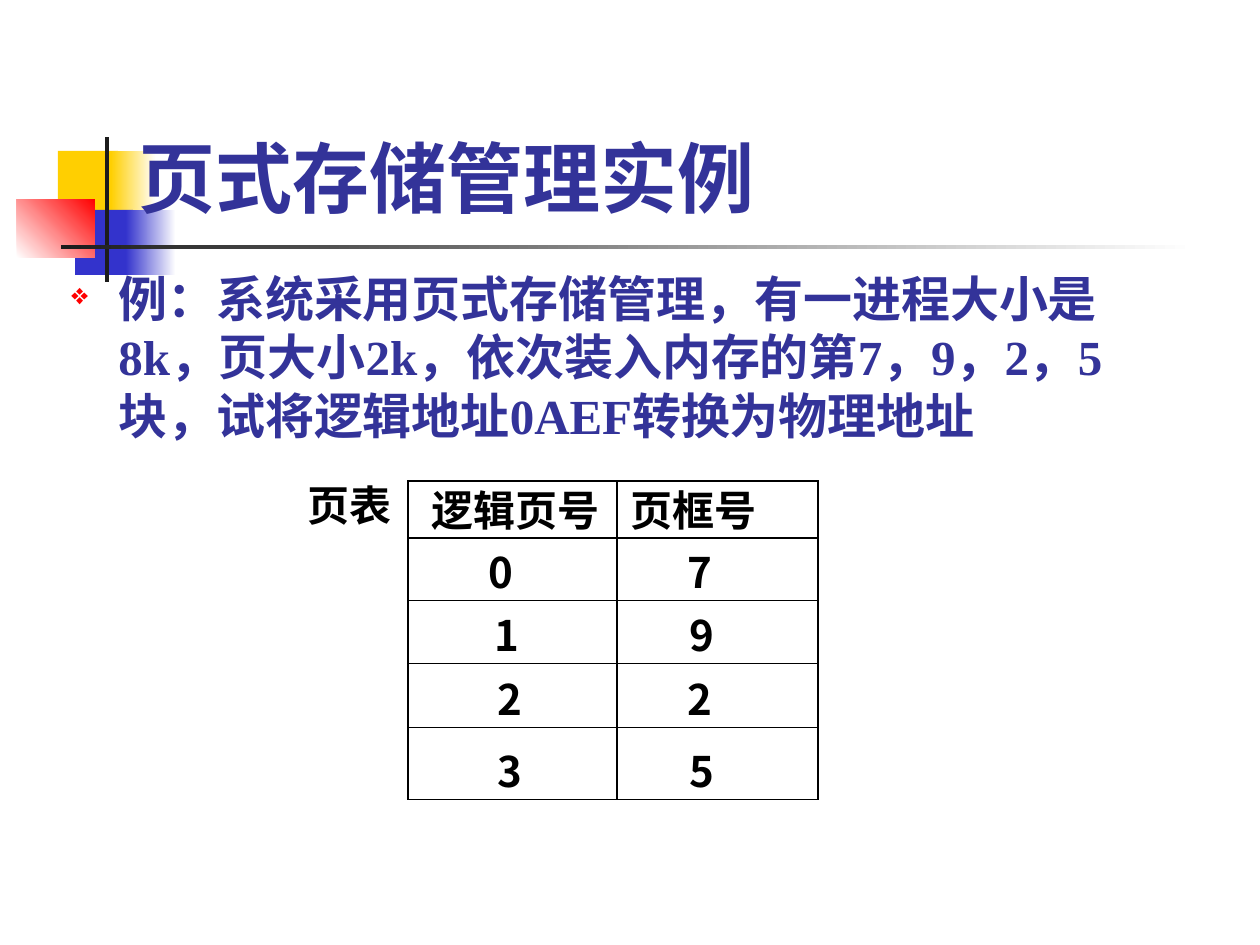
from lxml import etree
from pptx import Presentation, util as u
from pptx.dml.color import RGBColor
from pptx.enum import shapes, text
from pptx.oxml.ns import qn

PX = 914400 // 126
SANS, SERIF, TITLE_FONT = "Noto Sans CJK SC", "Times New Roman", "Roboto"
BLACK, NAVY, WHITE = "000000", "333399", "FFFFFF"

TITLE = "页式存储管理实例"
EXAMPLE = "例：系统采用页式存储管理，有一进程大小是8k，页大小2k，依次装入内存的第7，9，2，5块，试将逻辑地址0AEF转换为物理地址"
TABLE_LABEL = "页表"

# Ornament: left, top, width, height, colours (two make a gradient), angle
ORNAMENT = [
    (58, 151, 60, 66, ["FFCF01"], 0),
    (111, 151, 45, 66, ["FFCF01", WHITE], 0),
    (75, 210, 58, 65, ["3333CC"], 0),
    (126, 210, 50, 65, ["3333CC", WHITE], 0),
    (17, 199, 78, 59, [WHITE, "FF0000"], 45),
    (105, 137, 4, 145, ["1C1C1C"], 0),
    (61, 245, 1134, 4, ["1C1C1C", WHITE], 0),
]

# Page table: row height, top margin, then text and left margin of each cell
TABLE_LEFT, TABLE_TOP = 408, 481
COLUMN_WIDTHS = [209, 201]
ROWS = [
    (57, 2, [("逻辑页号", 24), ("页框号", 14)]),
    (63, 2, [("0", 81), ("7", 71)]),
    (63, 2, [("1", 87), ("9", 73)]),
    (64, 3, [("2", 89), ("2", 71)]),
    (72, 11, [("3", 89), ("5", 73)]),
]


def px(*lengths):
    return [u.Emu(length * PX) for length in lengths]


def color(value):
    return RGBColor.from_string(value)


def add_span(para, words, size, font, tint):
    span = para.add_run()
    span.text = words
    span.font.size = u.Pt(size)
    span.font.name = font
    span.font.bold = True
    span.font.color.rgb = color(tint)


def add_box(page, place, bottom=6):
    box = page.shapes.add_textbox(*px(*place))
    frame = box.text_frame
    frame.word_wrap = True
    frame.margin_bottom = u.Emu(bottom * PX)
    return frame


def add_bullet(para, mark, tint, percent, indent):
    props = para._p.get_or_add_pPr()
    props.set("marL", str(indent * PX))
    props.set("indent", str(-indent * PX))
    bullet_color = etree.SubElement(props, qn("a:buClr"))
    etree.SubElement(bullet_color, qn("a:srgbClr"), val=tint)
    etree.SubElement(props, qn("a:buSzPct"), val=str(percent * 1000))
    etree.SubElement(props, qn("a:buChar"), char=mark)


def add_borders(cell):
    props = cell._tc.get_or_add_tcPr()
    for position, side in enumerate(("a:lnL", "a:lnR", "a:lnT", "a:lnB")):
        line = etree.Element(qn(side), w=str(u.Pt(0.75)))
        fill = etree.SubElement(line, qn("a:solidFill"))
        etree.SubElement(fill, qn("a:srgbClr"), val=BLACK)
        props.insert(position, line)


deck = Presentation()
deck.slide_width, deck.slide_height = px(1260, 945)
page = deck.slides.add_slide(deck.slide_layouts[6])

# Ornament
for *place, colors, angle in ORNAMENT:
    block = page.shapes.add_shape(shapes.MSO_SHAPE.RECTANGLE, *px(*place))
    block.shadow.inherit = False
    block.line.fill.background()
    if len(colors) == 1:
        block.fill.solid()
        block.fill.fore_color.rgb = color(colors[0])
    else:
        block.fill.gradient()
        block.fill.gradient_angle = angle
        for stop, tint in zip(block.fill.gradient_stops, colors):
            stop.color.rgb = color(tint)

# Title
frame = add_box(page, (126, 145, 1134, 78), bottom=0)
frame.vertical_anchor = text.MSO_ANCHOR.BOTTOM
add_span(frame.paragraphs[0], TITLE, 44, TITLE_FONT, NAVY)

# Example
frame = add_box(page, (59, 262, 1104, 281))
add_bullet(frame.paragraphs[0], "❖", "FF0000", 60, 47)
add_span(frame.paragraphs[0], EXAMPLE, 28, SERIF, NAVY)

# Page table
frame = add_box(page, (295, 473, 112, 63))
add_span(frame.paragraphs[0], TABLE_LABEL, 24, SANS, BLACK)

size = px(TABLE_LEFT, TABLE_TOP, sum(COLUMN_WIDTHS), sum(row[0] for row in ROWS))
table = page.shapes.add_table(len(ROWS), len(COLUMN_WIDTHS), *size).table
for column, width in zip(table.columns, px(*COLUMN_WIDTHS)):
    column.width = width
for r, (height, top, cells) in enumerate(ROWS):
    table.rows[r].height = u.Emu(height * PX)
    for c, (words, left) in enumerate(cells):
        cell = table.cell(r, c)
        cell.fill.solid()
        cell.fill.fore_color.rgb = color(WHITE)
        cell.margin_left, cell.margin_top = px(left, top)
        cell.margin_right = cell.margin_bottom = 0
        add_borders(cell)
        para = cell.text_frame.paragraphs[0]
        if r == 0:
            para.line_spacing = 0.9
        add_span(para, words, 24, SANS, BLACK)

deck.save("out.pptx")
